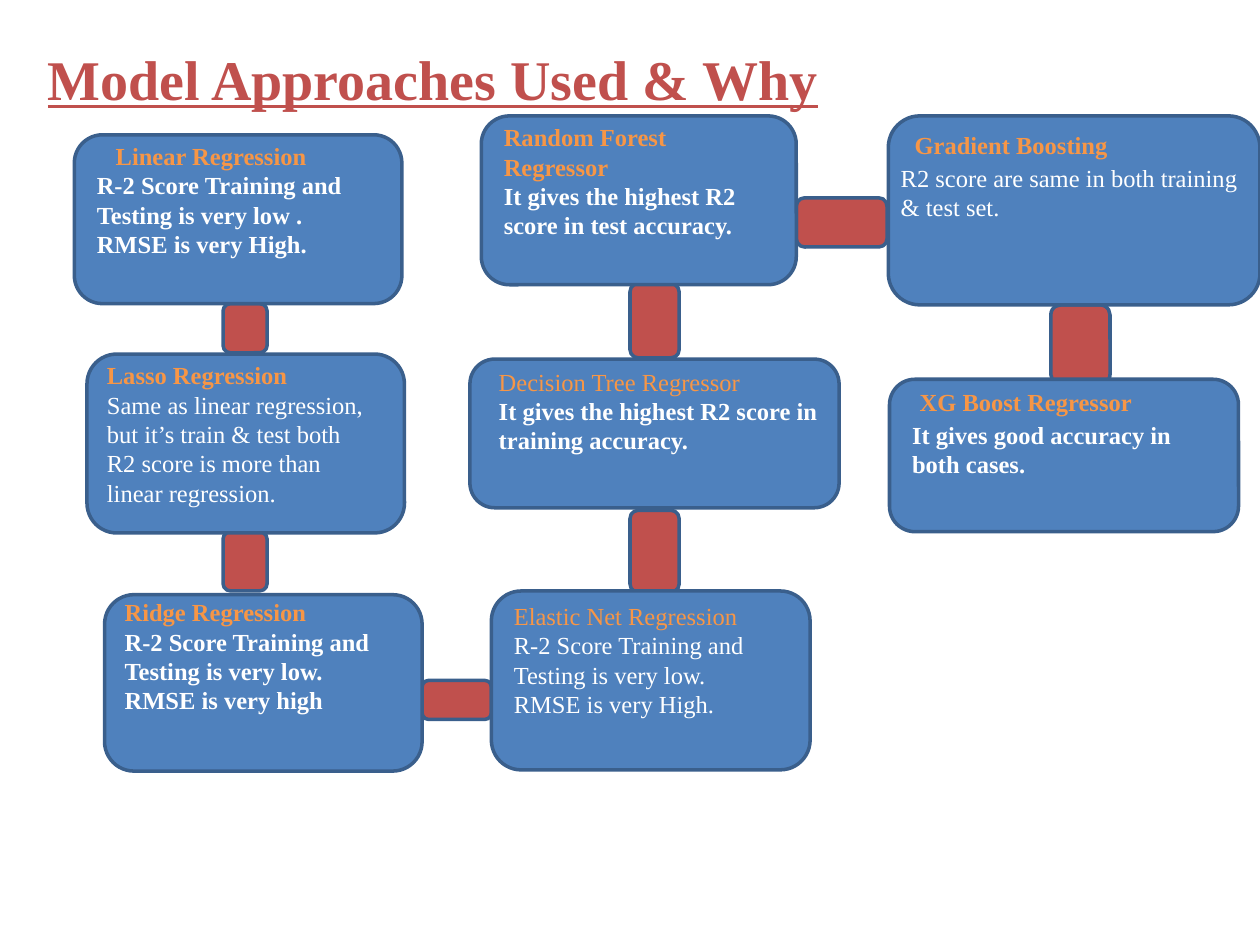
from dataclasses import dataclass

from pptx import Presentation
from pptx import util as u
from pptx.dml.color import RGBColor
from pptx.enum import shapes, text

HUES = {"card": "4F81BD", "link": "C0504D", "edge": "3A5F8C",
        "head": "F79646", "body": "FFFFFF"}
FONT = "Times New Roman"


@dataclass
class Box:
    left: float
    top: float
    width: float
    height: float

    def place(self) -> list:
        return [u.Inches(n) for n in (self.left, self.top, self.width, self.height)]


@dataclass
class Model:
    card: Box
    label: Box
    head: str
    lines: tuple
    head_bold: bool = True
    body_bold: bool = True
    indent: float = 0
    drop: float = 0


LINKS = [
    Box(1.77, 2.41, 0.35, 0.39),
    Box(1.77, 4.22, 0.35, 0.47),
    Box(3.35, 5.4, 0.55, 0.31),
    Box(5, 4.05, 0.39, 0.65),
    Box(5, 2.25, 0.39, 0.59),
    Box(6.32, 1.57, 0.72, 0.39),
    Box(8.34, 2.42, 0.47, 0.63),
]

MODELS = [
    Model(Box(0.59, 1.07, 2.6, 1.34), Box(0.67, 1.07, 2.37, 1.65),
          "Linear Regression",
          ("R-2 Score Training and Testing is very low .", "RMSE is very High."),
          indent=0.15),
    Model(Box(0.69, 2.81, 2.52, 1.42), Box(0.75, 2.81, 2.28, 1.28),
          "Lasso Regression",
          ("Same as linear regression, but it’s train & test both "
           "R2 score is more than linear regression.",),
          body_bold=False),
    Model(Box(0.83, 4.72, 2.52, 1.4), Box(0.89, 4.69, 2.39, 1.04),
          "Ridge Regression",
          ("R-2 Score Training and Testing is very low.", "RMSE is very high")),
    Model(Box(3.9, 4.69, 2.53, 1.42), Box(3.98, 4.72, 2.44, 1.04),
          "Elastic Net Regression",
          ("R-2 Score Training and Testing is very low.", "RMSE is very High."),
          head_bold=False, body_bold=False),
    Model(Box(3.73, 2.85, 2.93, 1.18), Box(3.86, 2.86, 2.91, 1.11),
          "Decision Tree Regressor",
          ("It gives the highest R2 score in training accuracy.",),
          head_bold=False),
    Model(Box(3.82, 0.92, 2.5, 1.34), Box(3.9, 0.92, 2.32, 1.04),
          "Random Forest Regressor",
          ("It gives the highest R2 score in test accuracy.",)),
    Model(Box(7.05, 0.92, 2.95, 1.5), Box(7.05, 0.92, 2.95, 0.88),
          "Gradient Boosting",
          ("R2 score are same in both training & test set.",),
          body_bold=False, indent=0.11, drop=0.06),
    Model(Box(7.06, 3.01, 2.77, 1.21), Box(7.14, 2.96, 2.65, 0.88),
          "XG Boost Regressor",
          ("It gives good accuracy in both cases.",),
          indent=0.06, drop=0.06),
]


def hue(name: str) -> RGBColor:
    return RGBColor.from_string(HUES[name])


def add_run(para, words: str, size: int, name: str, bold: bool):
    run = para.add_run()
    run.text = words
    font = run.font
    font.name, font.size, font.bold = FONT, u.Pt(size), bold
    font.color.rgb = hue(name)
    return run


def add_block(slide, box: Box, name: str) -> None:
    block = slide.shapes.add_shape(shapes.MSO_SHAPE.ROUNDED_RECTANGLE, *box.place())
    block.shadow.inherit = False
    block.fill.solid()
    block.fill.fore_color.rgb = hue(name)
    block.line.color.rgb = hue("edge")
    block.line.width = u.Pt(2)


def add_label(slide, model: Model) -> None:
    frame = slide.shapes.add_textbox(*model.label.place()).text_frame
    frame.word_wrap = True
    frame.auto_size = text.MSO_AUTO_SIZE.SHAPE_TO_FIT_TEXT
    frame.margin_top = u.Inches(0.05 + model.drop)
    para = frame.paragraphs[0]
    para.space_after = u.Pt(2 if model.drop else 0)
    if model.indent:
        para._p.get_or_add_pPr().set("indent", str(u.Inches(model.indent)))
    add_run(para, model.head, 14, "head", model.head_bold)
    for line in model.lines:
        add_run(frame.add_paragraph(), line, 14, "body", model.body_bold)


def add_title(slide, words: str) -> None:
    title = slide.shapes.title
    title.left, title.top, title.width, title.height = Box(0.28, 0.3, 9, 6.41).place()
    frame = title.text_frame
    frame.auto_size = text.MSO_AUTO_SIZE.NONE
    frame.vertical_anchor = text.MSO_ANCHOR.TOP
    para = frame.paragraphs[0]
    para.alignment = text.PP_ALIGN.LEFT
    add_run(para, words, 32, "link", True).font.underline = True


def main() -> None:
    deck = Presentation()
    deck.slide_width, deck.slide_height = u.Inches(10), u.Inches(7.5)
    slide = deck.slides.add_slide(deck.slide_layouts[5])
    add_title(slide, "Model Approaches Used & Why")
    for link in LINKS:
        add_block(slide, link, "link")
    for model in MODELS:
        add_block(slide, model.card, "card")
        add_label(slide, model)
    deck.save("out.pptx")


if __name__ == "__main__":
    main()
